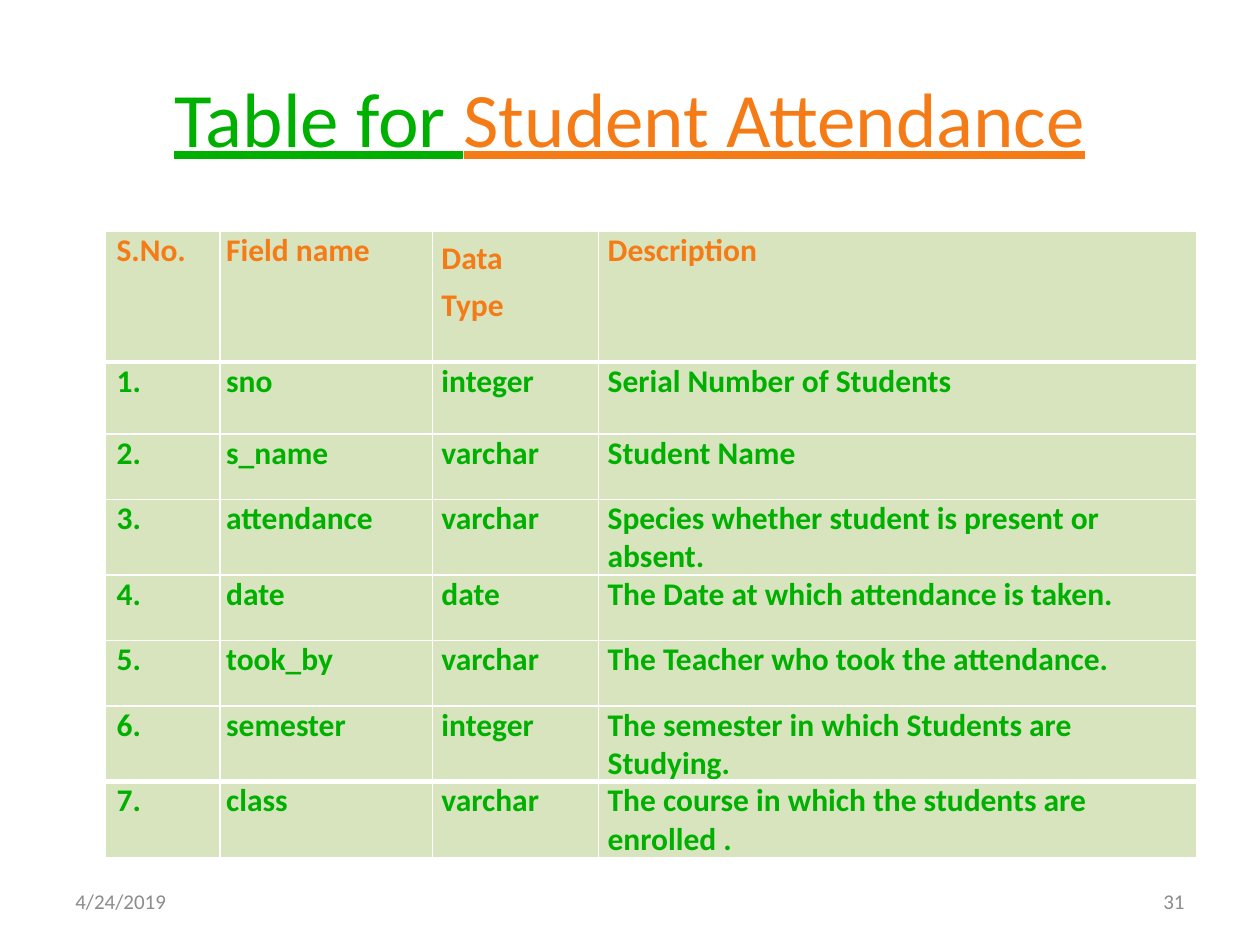
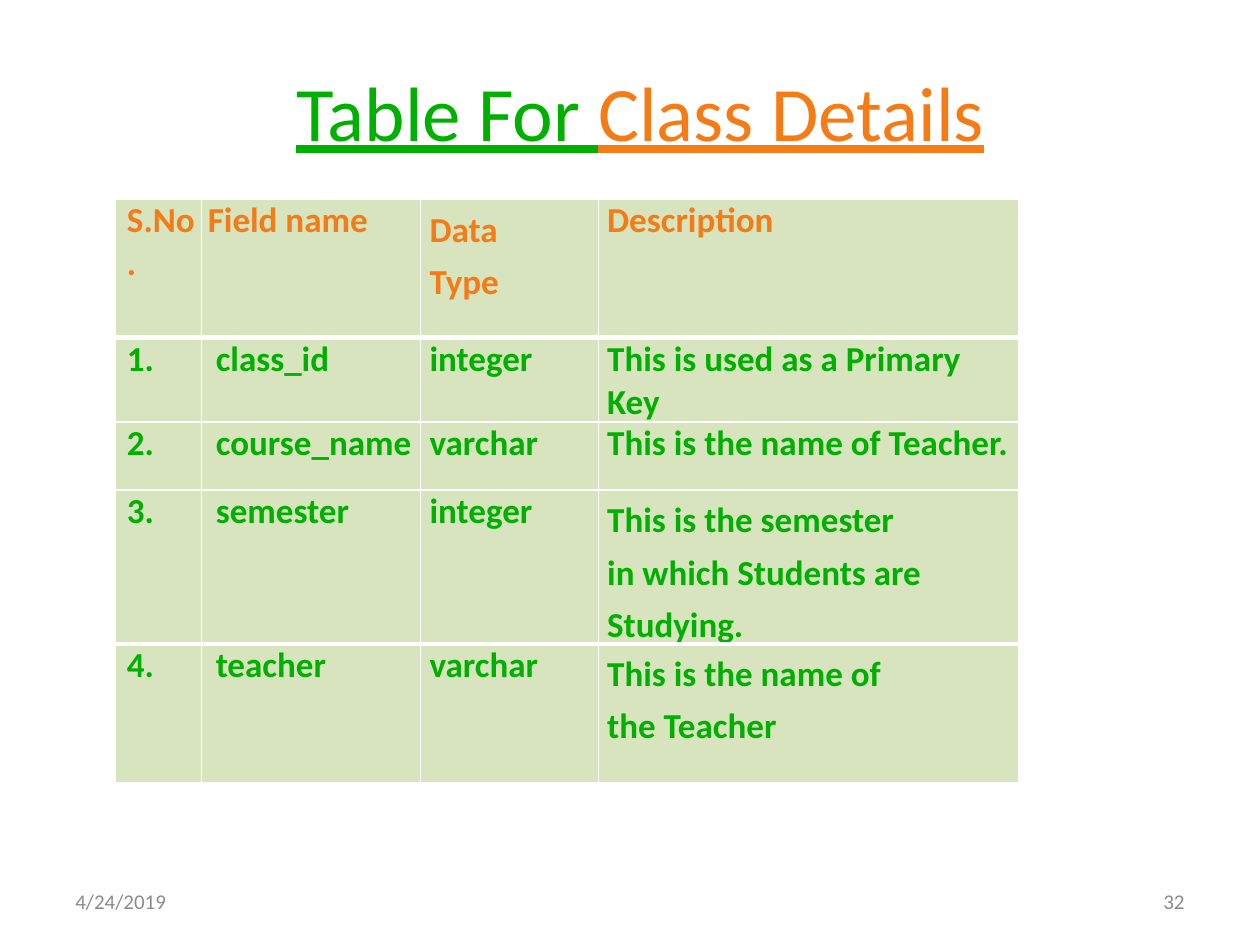
from lxml.etree import SubElement
from pptx import Presentation
from pptx.dml.color import RGBColor
from pptx.enum.text import MSO_ANCHOR, PP_ALIGN
from pptx.oxml.ns import qn
from pptx.util import Cm, Pt

GREEN = RGBColor(0x00, 0xB0, 0x00)
ORANGE = RGBColor(0xF5, 0x7B, 0x17)
PALE_GREEN = RGBColor(0xD7, 0xE4, 0xBD)
GREY = RGBColor(0x8C, 0x8C, 0x8C)
WHITE = RGBColor(0xFF, 0xFF, 0xFF)

FONT = "Calibri"
HEADINGS = ("S.No.", "Field name", "Data Type", "Description")
INDENTS = (0.23, 0.13, 0.18, 0.18)
LOOSE_SPACING = 1.22
THIN, THICK = Pt(1), Pt(3)


class SchemaDeck:
    def __init__(self):
        self.deck = Presentation()
        self.deck.slide_width = Cm(25.4)
        self.deck.slide_height = Cm(19.05)
        self.slide = None

    def new_slide(self, number):
        self.slide = self.deck.slides.add_slide(self.deck.slide_layouts[5])
        self.footer("4/24/2019", 1.27, PP_ALIGN.LEFT)
        self.footer(str(number), 18.21, PP_ALIGN.RIGHT)

    def style(self, paragraph, size, color=None, bold=False):
        font = paragraph.font
        font.name, font.size, font.bold = FONT, Pt(size), bold
        if color is not None:
            font.color.rgb = color

    def title(self, lead, subject, left, top):
        heading = self.slide.shapes.title
        heading.left, heading.top = Cm(left), Cm(top)
        heading.width, heading.height = Cm(22.86), Cm(3.18)
        heading.text_frame.vertical_anchor = MSO_ANCHOR.MIDDLE
        paragraph = heading.text_frame.paragraphs[0]
        paragraph.alignment = PP_ALIGN.CENTER
        self.style(paragraph, 44)
        paragraph.font.underline = True
        for words, color in ((lead, GREEN), (subject, ORANGE)):
            run = paragraph.add_run()
            run.text = words
            run.font.color.rgb = color

    def footer(self, words, left, alignment):
        box = self.slide.shapes.add_textbox(Cm(left), Cm(17.65), Cm(5.92), Cm(1.02))
        frame = box.text_frame
        frame.word_wrap = True
        frame.vertical_anchor = MSO_ANCHOR.MIDDLE
        paragraph = frame.paragraphs[0]
        paragraph.text = words
        paragraph.alignment = alignment
        self.style(paragraph, 12, GREY)

    def borders(self, cell, top, bottom):
        properties = cell._tc.get_or_add_tcPr()
        for side, width in (("L", THIN), ("R", THIN), ("T", top), ("B", bottom)):
            line = SubElement(properties, qn(f"a:ln{side}"), w=str(int(width)))
            fill = SubElement(line, qn("a:solidFill"))
            SubElement(fill, qn("a:srgbClr"), val=str(WHITE))

    def cell(self, cell, words, size, is_header, indent, right_indent):
        cell.margin_left = cell.margin_right = 0
        cell.margin_top = cell.margin_bottom = 0
        cell.vertical_anchor = MSO_ANCHOR.TOP
        cell.fill.solid()
        cell.fill.fore_color.rgb = PALE_GREEN
        paragraph = cell.text_frame.paragraphs[0]
        paragraph.text = words
        paragraph.space_before = Pt(1.4 if is_header else 0.1)
        self.style(paragraph, size, ORANGE if is_header else GREEN, bold=True)
        properties = paragraph._p.get_or_add_pPr()
        properties.set("marL", str(Cm(indent)))
        properties.set("indent", "0")
        if right_indent:
            properties.set("marR", str(Cm(right_indent)))
            paragraph.line_spacing = LOOSE_SPACING

    def field_table(self, left, top, widths, heights, size, fields,
                    field_indent=INDENTS[1], narrow_rows=()):
        rows = [HEADINGS] + [(f"{n}.", *field) for n, field in enumerate(fields, 1)]
        last = len(rows) - 1
        frame = self.slide.shapes.add_table(
            len(rows), len(HEADINGS), Cm(left), Cm(top),
            Cm(sum(widths)), Cm(sum(heights)))
        table = frame.table
        table.first_row = table.horz_banding = False
        for column, width in zip(table.columns, widths):
            column.width = Cm(width)
        for r, (row, height) in enumerate(zip(rows, heights)):
            table.rows[r].height = Cm(height)
            above = THICK if r in (1, last) else THIN
            below = THICK if r in (0, last - 1) else THIN
            for c, words in enumerate(row):
                indent = field_indent if r and c == 1 else INDENTS[c]
                right_indent = 0
                if r == 0 and c == 2:
                    right_indent = 1.27
                elif r in narrow_rows and c == 3:
                    right_indent = 1.9
                cell = table.cell(r, c)
                self.borders(cell, above, below)
                self.cell(cell, words, size, r == 0, indent, right_indent)


def main():
    schema = SchemaDeck()

    schema.new_slide(31)
    schema.title("Table for ", "Student Attendance", 1.27, 0.76)
    schema.field_table(
        2.12, 4.66, (2.31, 4.29, 3.35, 12.06), [2.64, 1.45] + [1.32] * 6, 18,
        [
            ("sno", "integer", "Serial Number of Students"),
            ("s_name", "varchar", "Student Name"),
            ("attendance", "varchar", "Species whether student is present or absent."),
            ("date", "date", "The Date at which attendance is taken."),
            ("took_by", "varchar", "The Teacher who took the attendance."),
            ("semester", "integer", "The semester in which Students are Studying."),
            ("class", "varchar", "The course in which the students are enrolled ."),
        ])

    schema.new_slide(32)
    schema.title("Table For ", "Class Details", 1.48, 0.64)
    schema.field_table(
        2.33, 4.02, (1.73, 4.42, 3.58, 8.48), (2.79, 1.7, 1.37, 2.77, 2.79), 20,
        [
            ("class_id", "integer", "This is used as a Primary Key"),
            ("course_name", "varchar", "This is the name of Teacher."),
            ("semester", "integer", "This is the semester in which Students are Studying."),
            ("teacher", "varchar", "This is the name of the Teacher"),
        ],
        field_indent=0.29, narrow_rows=(3, 4))

    schema.deck.save("out.pptx")


if __name__ == "__main__":
    main()
